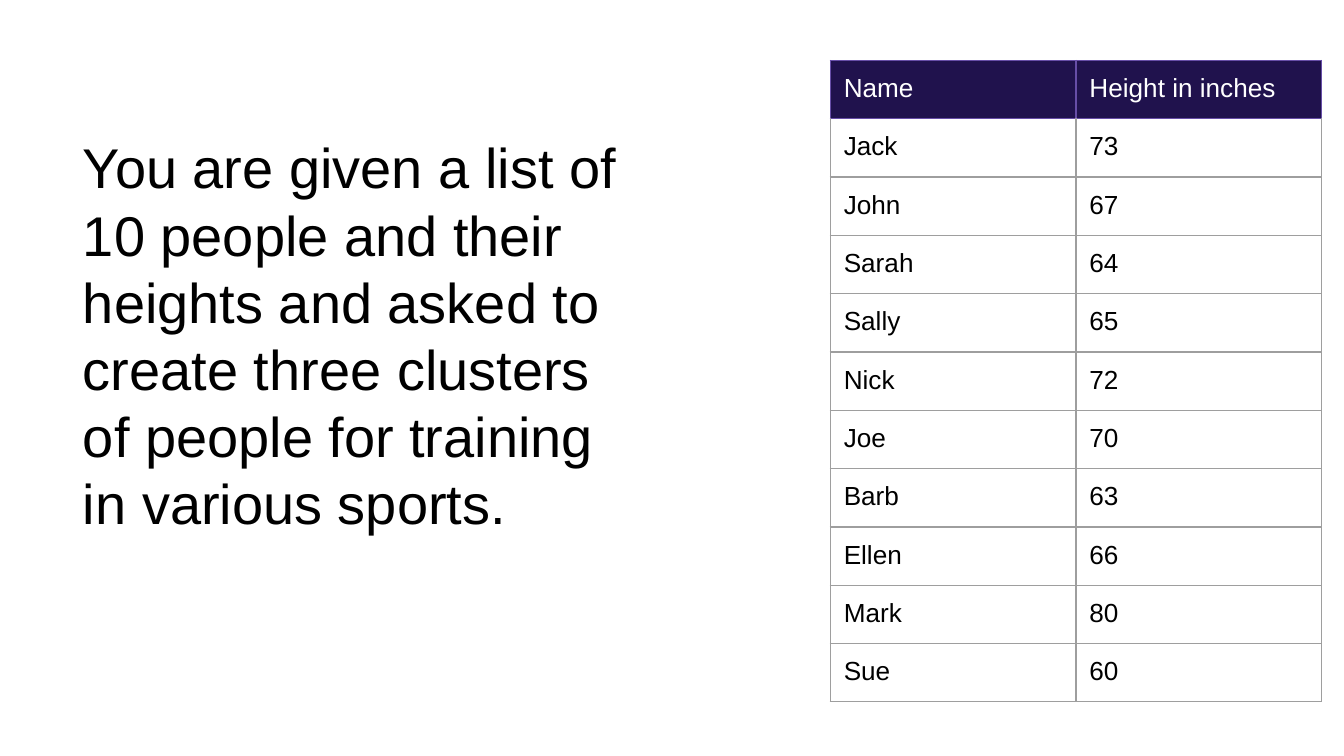
import pptx
import pptx.util
import pptx.dml.color
import pptx.oxml
import pptx.oxml.ns
from lxml import etree

Pt = pptx.util.Pt
COLORS = {"text": "000000", "header_text": "FFFFFF", "header": "20124D",
          "header_border": "674EA7", "border": "9E9E9E"}
MARGIN = Pt(7.2)


def style_text(paragraph, size, color):
    paragraph.font.name = "Arial"
    paragraph.font.size = Pt(size)
    paragraph.font.color.rgb = pptx.dml.color.RGBColor.from_string(COLORS[color])


def set_border(cell, side, color):
    line = etree.SubElement(cell._tc.get_or_add_tcPr(), pptx.oxml.ns.qn("a:" + side),
                            w=str(Pt(0.75)))
    fill = etree.SubElement(line, pptx.oxml.ns.qn("a:solidFill"))
    etree.SubElement(fill, pptx.oxml.ns.qn("a:srgbClr"), val=COLORS[color])


deck = pptx.Presentation()
deck.slide_width, deck.slide_height = Pt(720), Pt(405)
slide = deck.slides.add_slide(deck.slide_layouts[6])

# Task statement
task = slide.shapes.add_textbox(Pt(37.4), Pt(64), Pt(314.6), Pt(293)).text_frame
task.word_wrap = True
task.margin_left = task.margin_right = task.margin_top = task.margin_bottom = MARGIN
statement = task.paragraphs[0]
statement.text = ("You are given a list of 10 people and their heights and asked to "
                  "create three clusters of people for training in various sports.")
statement.line_spacing = Pt(36)
style_text(statement, 30, "text")

# Height table
people = [("Name", "Height in inches"), ("Jack", 73), ("John", 67), ("Sarah", 64),
          ("Sally", 65), ("Nick", 72), ("Joe", 70), ("Barb", 63), ("Ellen", 66),
          ("Mark", 80), ("Sue", 60)]
column_width, row_height = 131.6, 28.8
heights = slide.shapes.add_table(len(people), 2, Pt(444.8), Pt(32.4), Pt(2 * column_width),
                                 Pt(len(people) * row_height)).table
heights.horz_banding = False
for column in heights.columns:
    column.width = Pt(column_width)

for row, person in enumerate(people):
    heights.rows[row].height = Pt(row_height)
    for col, value in enumerate(person):
        cell = heights.cell(row, col)
        cell.text = str(value)
        cell.margin_left = cell.margin_right = cell.margin_top = cell.margin_bottom = MARGIN
        style_text(cell.text_frame.paragraphs[0], 14, "text" if row else "header_text")
        # Borders come before the fill in the cell properties
        for side in ("lnL", "lnR", "lnT", "lnB"):
            under_header = row == 1 and side == "lnT"
            set_border(cell, side, "header_border" if row == 0 or under_header else "border")
        if row == 0:
            cell.fill.solid()
            cell.fill.fore_color.rgb = pptx.dml.color.RGBColor.from_string(COLORS["header"])
        else:
            cell.fill.background()

deck.save("out.pptx")
